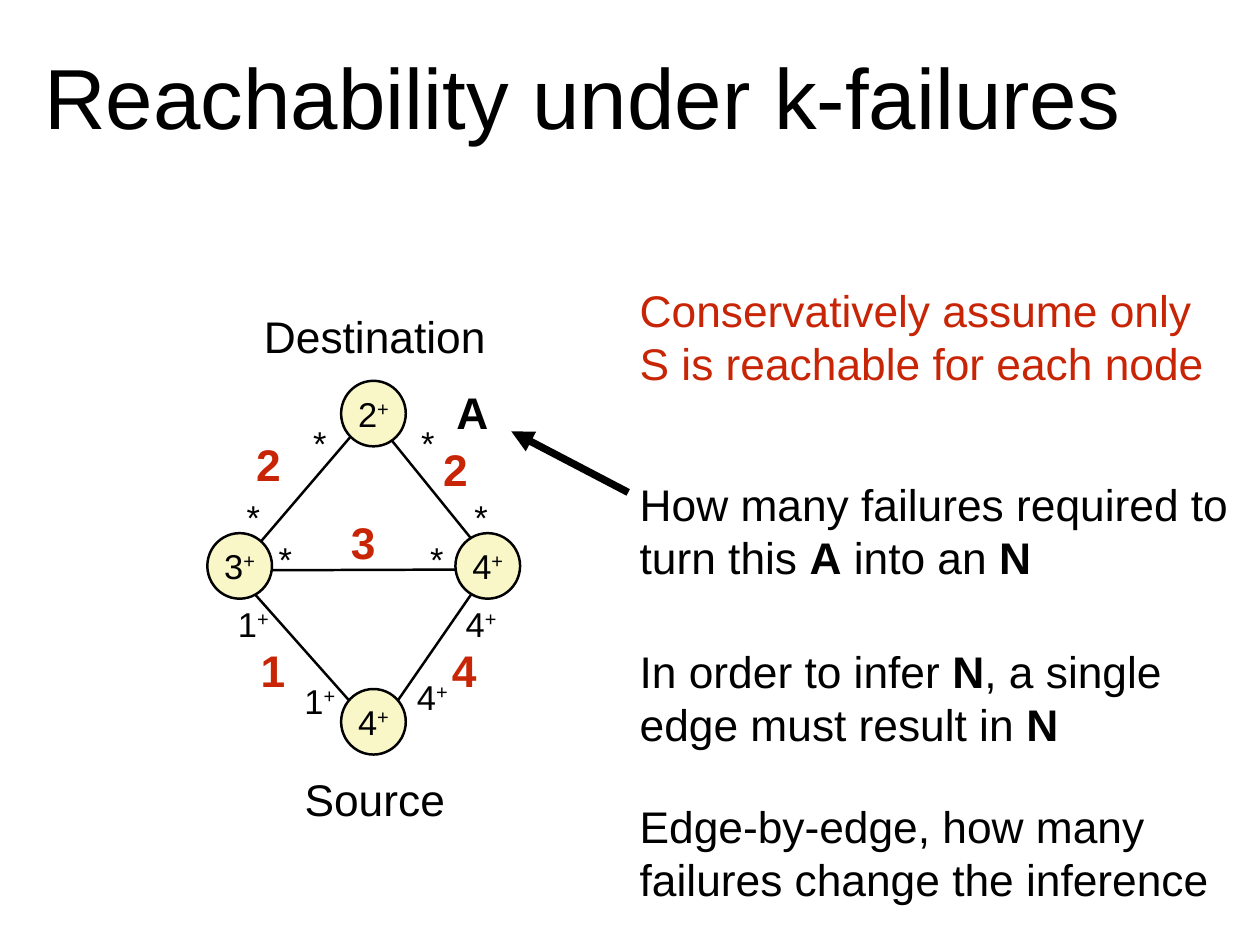
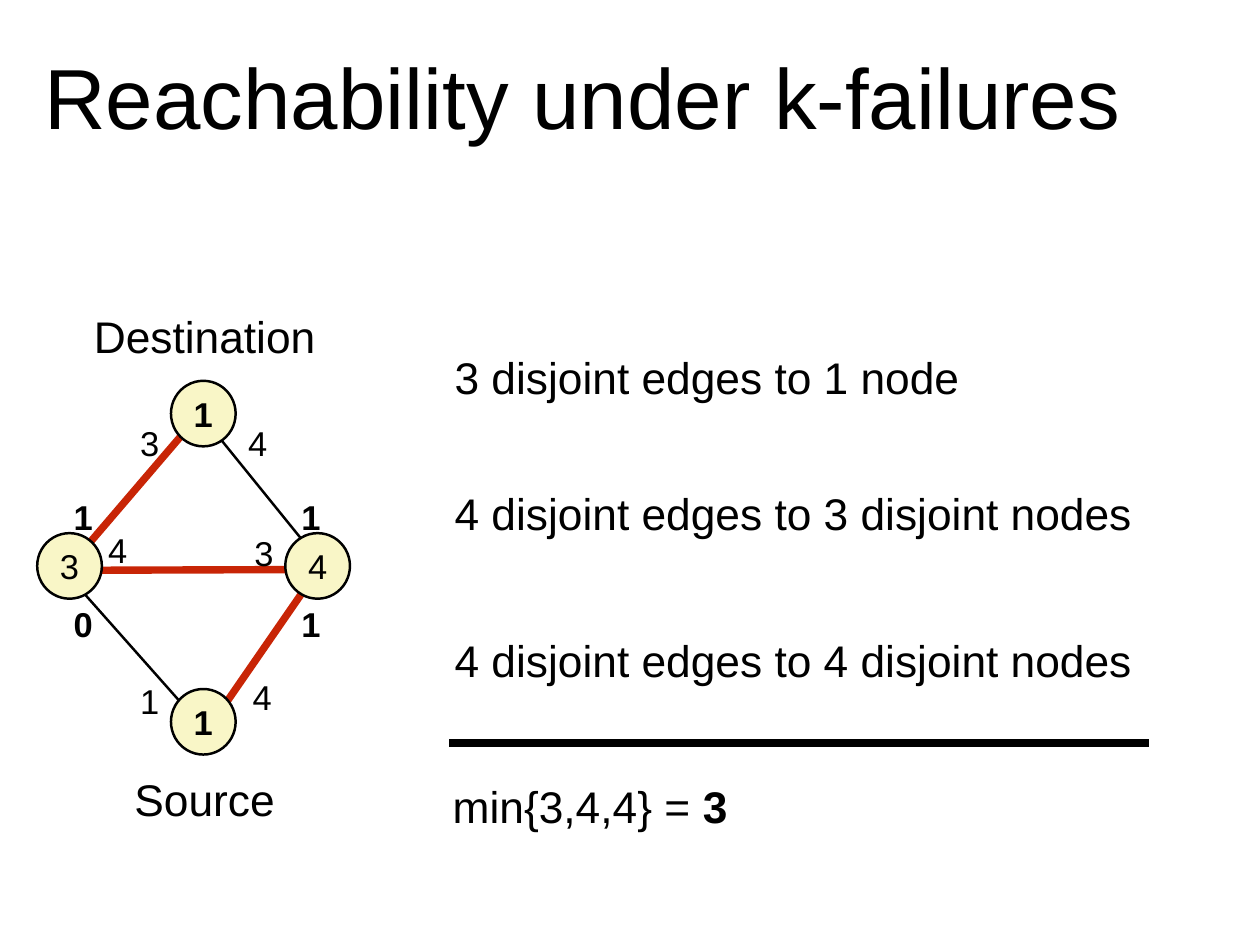
from collections import namedtuple
from dataclasses import dataclass

from lxml import etree
from pptx import Presentation
from pptx.dml.color import RGBColor
from pptx.enum.shapes import MSO_CONNECTOR, MSO_SHAPE
from pptx.enum.text import MSO_ANCHOR, MSO_AUTO_SIZE, PP_ALIGN
from pptx.oxml.ns import qn
from pptx.util import Pt

LEFT, CENTER = PP_ALIGN.LEFT, PP_ALIGN.CENTER
MIDDLE, BOTTOM = MSO_ANCHOR.MIDDLE, MSO_ANCHOR.BOTTOM
STRAIGHT, OVAL = MSO_CONNECTOR.STRAIGHT, MSO_SHAPE.OVAL
PX = 9144  # 100 px to the inch
TITLE_ONLY = 5


@dataclass(frozen=True)
class Theme:
    font: str = "Arial"
    ink: RGBColor = RGBColor(0x00, 0x00, 0x00)
    accent: RGBColor = RGBColor(0xC8, 0x25, 0x06)
    node: RGBColor = RGBColor(0xF9, 0xF6, 0xC7)
    title: float = 69.3
    text: int = 36
    port: int = 28
    thin: int = 2
    thick: int = 6
    rule: int = 7
    inset: int = 6


T = Theme()
Run = namedtuple("Run", "text bold sup", defaults=(False, False))

# Diagram geometry, relative to the top left of the diagram box
NODE_W, NODE_H = 73, 74
NODES = {"dest": (151, 86), "right": (280, 258), "source": (151, 434), "left": (0, 258)}
EDGES = {
    "left-dest": (36, 296, 184, 123),
    "source-right": (188, 486, 320, 295),
    "source-left": (192, 483, 28, 298),
    "right-dest": (326, 299, 182, 121),
    "left-right": (36, 300, 319, 299),
}
# Port "a-b" is the end of an edge at node a, towards node b
PORTS = {
    "dest-left": (127, 156), "dest-right": (249, 156),
    "left-dest": (52, 239), "right-dest": (309, 239),
    "left-right": (88, 287), "right-left": (259, 287),
    "left-source": (52, 360), "right-source": (309, 360),
    "source-left": (127, 447), "source-right": (254, 443),
}
COSTS = {"left-dest": (69, 180), "right-dest": (280, 185), "left-right": (176, 268),
         "source-left": (74, 412), "source-right": (290, 412)}


def plain(text):
    return [Run(text)]


def bold(text):
    return [Run(text, bold=True)]


def at_least(n):
    return [Run(str(n)), Run("+", sup=True)]


def write(tf, lines, size, color=T.ink, align=LEFT, anchor=MIDDLE, wrap=True):
    """Fill a text frame with lines, each a list of runs."""
    tf.word_wrap = wrap
    tf.auto_size = MSO_AUTO_SIZE.NONE
    tf.vertical_anchor = anchor
    tf.margin_left = tf.margin_right = tf.margin_top = tf.margin_bottom = T.inset * PX
    for i, line in enumerate(lines):
        p = tf.add_paragraph() if i else tf.paragraphs[0]
        p.alignment = align
        for run in line:
            r = p.add_run()
            r.text = run.text
            r.font.name, r.font.size, r.font.bold = T.font, Pt(size), run.bold
            r.font.color.rgb = color
            if run.sup:
                r.font._element.set("baseline", "32000")


def textbox(shapes, x, y, w, h, lines, size=T.text, **style):
    sp = shapes.add_textbox(x * PX, y * PX, w * PX, h * PX)
    write(sp.text_frame, lines, size, **style)


def label(shapes, cx, cy, line, size=T.text, color=T.ink):
    """Place one line of text centred on a point."""
    w, h = 60, 70
    textbox(shapes, cx - w // 2, cy - h // 2, w, h, [line], size,
            color=color, align=CENTER, wrap=False)


def connect(shapes, x1, y1, x2, y2, width, color=T.ink, arrow=False):
    c = shapes.add_connector(STRAIGHT, x1 * PX, y1 * PX, x2 * PX, y2 * PX)
    c.line.color.rgb = color
    c.line.width = Pt(width)
    sp_pr = c._element.spPr
    if arrow:
        etree.SubElement(sp_pr.find(qn("a:ln")), qn("a:tailEnd"), type="triangle")
    etree.SubElement(sp_pr, qn("a:effectLst"))


def node(shapes, x, y, line):
    sp = shapes.add_shape(OVAL, x * PX, y * PX, NODE_W * PX, NODE_H * PX)
    sp.shadow.inherit = False
    sp.fill.solid()
    sp.fill.fore_color.rgb = T.node
    sp.line.color.rgb = T.ink
    sp.line.width = Pt(T.thin)
    write(sp.text_frame, [line], T.port, align=CENTER, wrap=False)


def network(s, x, y, nodes, ports, cut=(), moved=None):
    """Draw the four-node network; cut edges are red, moved shifts single ports."""
    shapes = s.shapes.add_group_shape().shapes
    for name, (x1, y1, x2, y2) in EDGES.items():
        width, color = (T.thick, T.accent) if name in cut else (T.thin, T.ink)
        connect(shapes, x + x1, y + y1, x + x2, y + y2, width, color)
    for name, (nx, ny) in NODES.items():
        node(shapes, x + nx, y + ny, nodes[name])
    for name, (px, py) in {**PORTS, **(moved or {})}.items():
        label(shapes, x + px, y + py, ports[name], T.port)
    for text, cy in (("Destination", 35), ("Source", 558)):
        label(s.shapes, x + 189, y + cy, plain(text))


def costs(s, x, y, values):
    for name, (cx, cy) in COSTS.items():
        label(s.shapes, x + cx, y + cy, bold(values[name]), color=T.accent)


def notes(s, x, w, h, items):
    for y, lines, color in items:
        textbox(s.shapes, x, y, w, h, lines, color=color)


def new_slide(prs):
    s = prs.slides.add_slide(prs.slide_layouts[TITLE_ONLY])
    title = s.shapes.title
    title.left, title.top, title.width, title.height = (
        v * PX for v in (44, 44, 1376, 127))
    write(title.text_frame, [plain("Reachability under k-failures")], T.title, anchor=BOTTOM)
    return s


def inference_slide(prs):
    s = new_slide(prs)
    x, y = 234, 344
    star = plain("*")
    ports = dict.fromkeys(PORTS, star)
    ports.update({"left-source": at_least(1), "source-left": at_least(1),
                  "right-source": at_least(4), "source-right": at_least(4)})
    nodes = {"dest": at_least(2), "right": at_least(4),
             "source": at_least(4), "left": at_least(3)}
    network(s, x, y, nodes, ports)
    costs(s, x, y, {"left-dest": "2", "right-dest": "2", "left-right": "3",
                    "source-left": "1", "source-right": "4"})
    label(s.shapes, x + 299, y + 121, bold("A"))
    connect(s.shapes, 709, 556, 577, 487, T.thick, arrow=True)
    notes(s, 716, 700, 131, [
        (314, [plain("Conservatively assume only"),
               plain("S is reachable for each node")], T.accent),
        (533, [plain("How many failures required to"),
               plain("turn this ") + bold("A") + plain(" into an ") + bold("N")], T.ink),
        (722, [plain("In order to infer ") + bold("N") + plain(", a single"),
               plain("edge must result in ") + bold("N")], T.ink),
        (897, [plain("Edge-by-edge, how many"),
               plain("failures change the inference")], T.ink),
    ])


def minimum_slide(prs):
    s = new_slide(prs)
    nodes = {"dest": bold("1"), "right": plain("4"), "source": bold("1"), "left": plain("3")}
    ports = {
        "dest-left": plain("3"), "dest-right": plain("4"),
        "left-dest": bold("1"), "right-dest": bold("1"),
        "left-right": plain("4"), "right-left": plain("3"),
        "left-source": bold("0"), "right-source": bold("1"),
        "source-left": plain("1"), "source-right": plain("4"),
    }
    network(s, 42, 344, nodes, ports, cut=("left-dest", "left-right", "source-right"),
            moved={"left-right": (91, 277), "right-left": (256, 280)})
    notes(s, 507, 791, 71, [
        (390, [plain("3 disjoint edges to 1 node")], T.ink),
        (544, [plain("4 disjoint edges to 3 disjoint nodes")], T.ink),
        (709, [plain("4 disjoint edges to 4 disjoint nodes")], T.ink),
    ])
    connect(s.shapes, 507, 839, 1297, 839, T.rule)
    notes(s, 505, 326, 71, [(874, [plain("min{3,4,4} = ") + bold("3")], T.ink)])


def main():
    prs = Presentation()
    prs.slide_width, prs.slide_height = 1422 * PX, 1067 * PX
    inference_slide(prs)
    minimum_slide(prs)
    prs.save("out.pptx")


if __name__ == "__main__":
    main()
